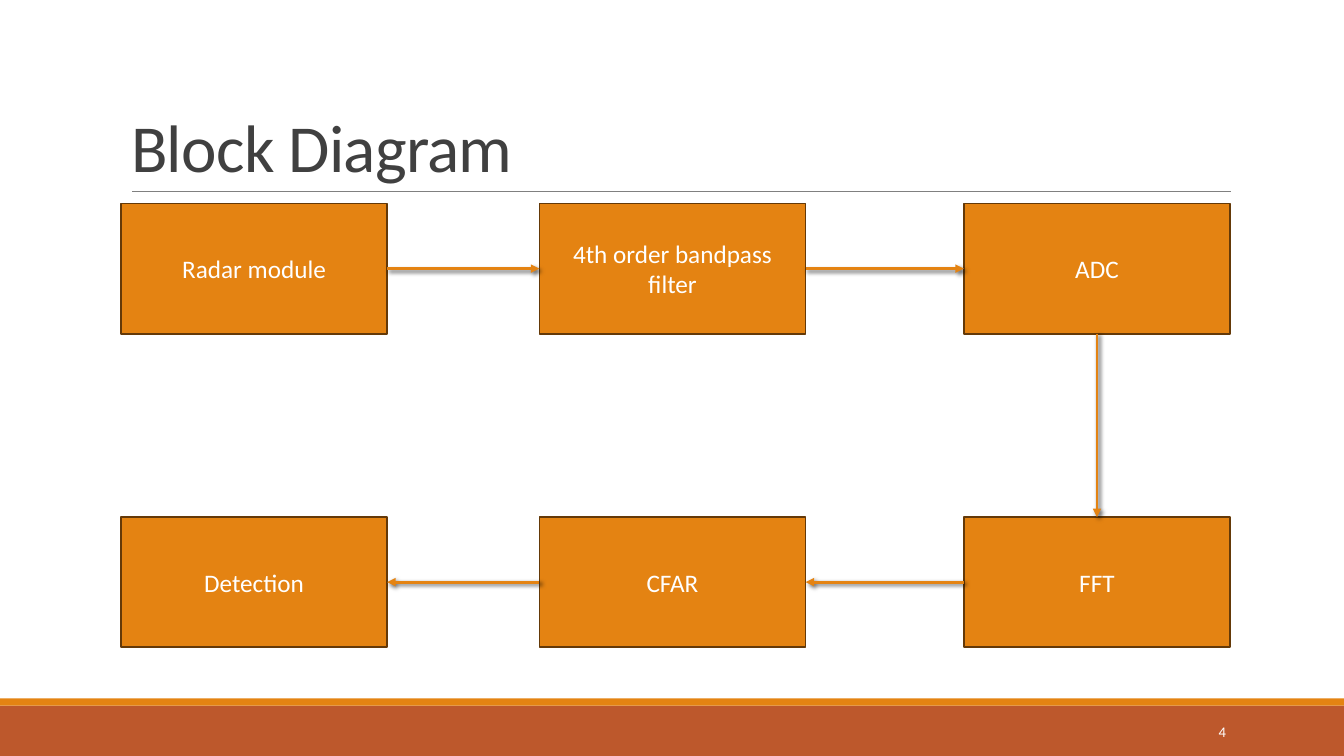
import pptx
import pptx.util
import pptx.dml.color
import pptx.enum.shapes
import pptx.enum.text
import pptx.oxml
import pptx.oxml.ns

Inches = pptx.util.Inches
Pt = pptx.util.Pt
KIND = pptx.enum.shapes.MSO_SHAPE
WIRE = pptx.enum.shapes.MSO_CONNECTOR
ALIGN = pptx.enum.text.PP_ALIGN
ANCHOR = pptx.enum.text.MSO_ANCHOR
INK = {"orange": "E48312", "rust": "BD582C", "brown": "643908",
       "gray": "808080", "dark": "404040", "white": "FFFFFF"}
TAIL = f'<a:tailEnd {pptx.oxml.ns.nsdecls("a")} type="triangle"/>'
PLAIN = f'<a:effectLst {pptx.oxml.ns.nsdecls("a")}/>'
SHADE = (f'<a:effectLst {pptx.oxml.ns.nsdecls("a")}>'
         '<a:outerShdw blurRad="38100" dist="25400" dir="2700000" rotWithShape="0">'
         '<a:srgbClr val="000000"><a:alpha val="60000"/></a:srgbClr>'
         '</a:outerShdw></a:effectLst>')


def color(name):
    return pptx.dml.color.RGBColor.from_string(INK[name])


def write(shape, text, size, ink, align, anchor):
    frame = shape.text_frame
    frame.word_wrap = True
    frame.auto_size = pptx.enum.text.MSO_AUTO_SIZE.NONE
    frame.vertical_anchor = anchor
    frame.text = text
    para = frame.paragraphs[0]
    para.alignment = align
    para.font.name = "Calibri"
    para.font.size = Pt(size)
    para.font.color.rgb = color(ink)
    return para


deck = pptx.Presentation()
deck.slide_width = Inches(13.33)
deck.slide_height = Inches(7.5)
slide = deck.slides.add_slide(deck.slide_layouts[5])
shapes = slide.shapes

# Footer bars
for top, high, ink in [(7, 0.5, "rust"), (6.93, 0.07, "orange")]:
    bar = shapes.add_shape(KIND.RECTANGLE, 0, Inches(top),
                           deck.slide_width, Inches(high))
    bar.shadow.inherit = False
    bar.fill.solid()
    bar.fill.fore_color.rgb = color(ink)
    bar.line.fill.background()

# Title and the rule below it
title = shapes.title
title.left, title.top = Inches(1.2), Inches(0.31)
title.width, title.height = Inches(11), Inches(1.59)
para = write(title, "Block Diagram", 48, "dark", ALIGN.LEFT, ANCHOR.BOTTOM)
para.line_spacing = 0.85
para.runs[0].font._element.set("spc", "-50")

rule = shapes.add_connector(WIRE.STRAIGHT, Inches(1.31), Inches(1.9),
                            Inches(12.21), Inches(1.9))
rule.line.color.rgb = color("gray")
rule.line.width = Pt(0.5)
rule._element.spPr.append(pptx.oxml.parse_xml(PLAIN))

# Slide number
page = shapes.add_textbox(Inches(10.83), Inches(7.06), Inches(1.43), Inches(0.4))
write(page, "4", 10.5, "white", ALIGN.RIGHT, ANCHOR.MIDDLE)

# Blocks, in signal order
cols, rows = [1.2, 5.35, 9.56], [2.02, 5.13]
steps = [("Radar module", 0, 0), ("4th order bandpass filter", 1, 0),
         ("ADC", 2, 0), ("FFT", 2, 1), ("CFAR", 1, 1), ("Detection", 0, 1)]
blocks = []
for text, col, row in steps:
    block = shapes.add_shape(KIND.RECTANGLE, Inches(cols[col]), Inches(rows[row]),
                             Inches(2.64), Inches(1.29))
    block.shadow.inherit = False
    block.fill.solid()
    block.fill.fore_color.rgb = color("orange")
    block.line.color.rgb = color("brown")
    block.line.width = Pt(1.25)
    write(block, text, 18, "white", ALIGN.CENTER, ANCHOR.MIDDLE)
    blocks.append(block)

# Arrows from each block to the next: right, right, down, left, left
sides = [(3, 1), (3, 1), (2, 0), (1, 3), (1, 3)]
for start, end, (exit, entry) in zip(blocks, blocks[1:], sides):
    arrow = shapes.add_connector(WIRE.STRAIGHT, 0, 0, 0, 0)
    arrow.begin_connect(start, exit)
    arrow.end_connect(end, entry)
    arrow.line.color.rgb = color("orange")
    arrow.line.width = Pt(2)
    arrow.line._get_or_add_ln().append(pptx.oxml.parse_xml(TAIL))
    arrow._element.spPr.append(pptx.oxml.parse_xml(SHADE))

deck.save("out.pptx")
